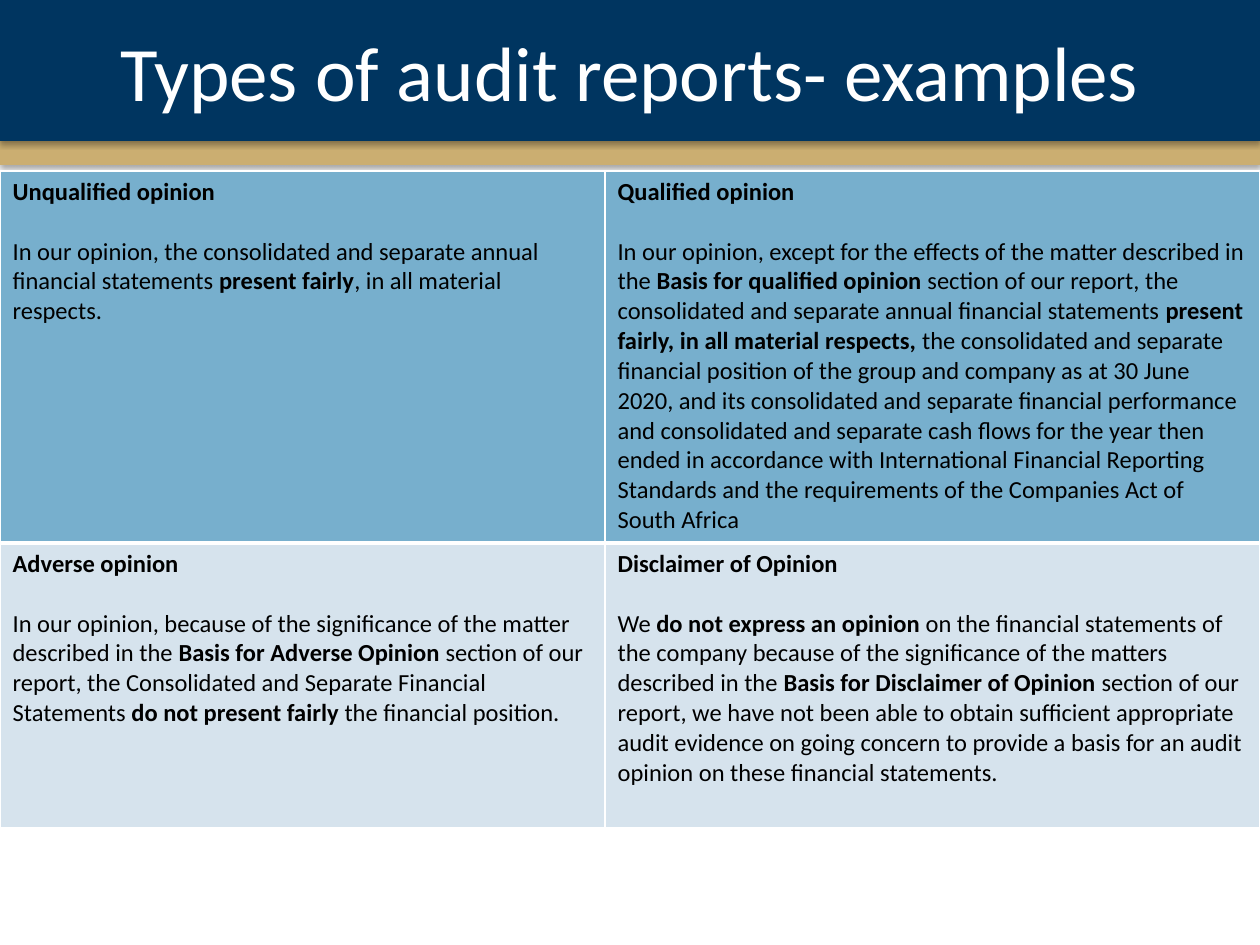
from lxml import etree
from pptx import Presentation
from pptx.dml.color import RGBColor
from pptx.enum.shapes import MSO_SHAPE
from pptx.enum.text import MSO_ANCHOR, PP_ALIGN
from pptx.oxml.ns import qn
from pptx.util import Pt

RECTANGLE = MSO_SHAPE.RECTANGLE
MIDDLE = MSO_ANCHOR.MIDDLE
CENTER = PP_ALIGN.CENTER
TITLE_ONLY = 5
WIDTH, HEIGHT = 1260, 945
NAVY, GOLD, WHITE, BLACK = "003560", "CBAE71", "FFFFFF", "000000"
BLUE, PALE = "77AFCD", "D6E3ED"


def px(length):
    return round(length * 914400 / 126)


def color(value):
    return RGBColor.from_string(value)


class Page:
    font = "Calibri"
    body_size = 14
    title_size = 44
    heading_gap = 17

    def __init__(self, deck):
        self.slide = deck.slides.add_slide(deck.slide_layouts[TITLE_ONLY])

    def place(self, shape, left, top, width, height):
        shape.left, shape.top = px(left), px(top)
        shape.width, shape.height = px(width), px(height)

    def span(self, para, text, size, fill, bold=False):
        run = para.add_run()
        run.text = text
        run.font.name = self.font
        run.font.size = Pt(size)
        run.font.bold = bold
        run.font.color.rgb = color(fill)

    def paint(self, shape, fill):
        """Solid fill, no outline, and a soft shadow falling straight down."""
        shape.fill.solid()
        shape.fill.fore_color.rgb = color(fill)
        shape.line.fill.background()
        shape.shadow.inherit = False
        effects = shape.element.spPr.find(qn("a:effectLst"))
        shadow = etree.SubElement(
            effects, qn("a:outerShdw"), blurRad=str(Pt(3.1)), dist=str(Pt(1.8)),
            dir="5400000", rotWithShape="0")
        black = etree.SubElement(shadow, qn("a:srgbClr"), val=BLACK)
        etree.SubElement(black, qn("a:alpha"), val="35000")

    def title(self, text, fill, *bounds):
        box = self.slide.shapes.title
        self.place(box, *bounds)
        self.paint(box, fill)
        box.text_frame.vertical_anchor = MIDDLE
        para = box.text_frame.paragraphs[0]
        para.alignment = CENTER
        self.span(para, text, self.title_size, WHITE)

    def band(self, fill, *bounds):
        box = self.slide.shapes.add_shape(RECTANGLE, *map(px, bounds))
        self.paint(box, fill)
        # The band lies behind the title
        self.slide.shapes.title.element.addprevious(box.element)

    def border(self, cell, side, width):
        line = etree.SubElement(cell._tc.get_or_add_tcPr(), qn(f"a:ln{side}"),
                                w=str(Pt(width)))
        fill = etree.SubElement(line, qn("a:solidFill"))
        etree.SubElement(fill, qn("a:srgbClr"), val=WHITE)

    def opinion(self, cell, heading, paragraphs):
        frame = cell.text_frame
        self.span(frame.paragraphs[0], heading, self.body_size, BLACK, True)
        for index, spans in enumerate(paragraphs):
            para = frame.add_paragraph()
            if index == 0:
                para.space_before = Pt(self.heading_gap)
            for text, bold in spans:
                self.span(para, text, self.body_size, BLACK, bold)

    def table(self, left, top, columns, heights, fills, opinions):
        frame = self.slide.shapes.add_table(
            len(heights), len(columns), px(left), px(top),
            px(sum(columns)), px(sum(heights)))
        grid = frame.table
        grid.first_row = grid.horz_banding = False
        for column, width in zip(grid.columns, columns):
            column.width = px(width)
        for row, (height, fill) in enumerate(zip(heights, fills)):
            grid.rows[row].height = px(height)
            for column, content in enumerate(opinions[row]):
                cell = grid.cell(row, column)
                # Thick rule between the rows, thin ones elsewhere
                widths = {"L": 1, "R": 1, "T": 3 if row else 1, "B": 1 if row else 3}
                for side, width in widths.items():
                    self.border(cell, side, width)
                cell.fill.solid()
                cell.fill.fore_color.rgb = color(fill)
                self.opinion(cell, *content)


# Each opinion: heading, then paragraphs of (text, bold) spans
UNQUALIFIED = ("Unqualified opinion", [[
    ("In our opinion, the consolidated and separate annual financial statements ", False),
    ("present fairly", True),
    (", in all material respects.", False)]])

QUALIFIED = ("Qualified opinion", [
    [("In our opinion, except for the effects of the matter described in the ", False),
     ("Basis for qualified opinion ", True),
     ("section of our report, the", False)],
    [("consolidated and separate annual financial statements ", False),
     ("present", True)],
    [("fairly, in all material respects,", True),
     (" the consolidated and separate", False)],
    *[[(line, False)] for line in (
        "financial position of the group and company as at 30 June",
        "2020, and its consolidated and separate financial performance",
        "and consolidated and separate cash flows for the year then",
        "ended in accordance with International Financial Reporting",
        "Standards and the requirements of the Companies Act of",
        "South Africa")]])

ADVERSE = ("Adverse opinion", [[
    ("In our opinion, because of the significance of the matter described in the ", False),
    ("Basis for Adverse Opinion ", True),
    ("section of our report, the Consolidated and Separate Financial Statements ", False),
    ("do not present fairly ", True),
    ("the financial position.", False)]])

DISCLAIMER = ("Disclaimer of Opinion", [[
    ("We ", False),
    ("do not express an opinion ", True),
    ("on the financial statements of the company because of the significance "
     "of the matters described in the ", False),
    ("Basis for Disclaimer of Opinion ", True),
    ("section of our report, we have not been able to obtain sufficient "
     "appropriate audit evidence on going concern to provide a basis for an "
     "audit opinion on these financial statements.", False)]])


def main():
    deck = Presentation()
    deck.slide_width, deck.slide_height = px(WIDTH), px(HEIGHT)
    page = Page(deck)

    # Header
    page.title("Types of audit reports- examples", NAVY, 0, 0, WIDTH, 141)
    page.band(GOLD, 0, 141, WIDTH, 24)

    # Four opinions
    page.table(0, 171, (605, 655), (372, 285), (BLUE, PALE),
               ((UNQUALIFIED, QUALIFIED), (ADVERSE, DISCLAIMER)))

    deck.save("out.pptx")


if __name__ == "__main__":
    main()
